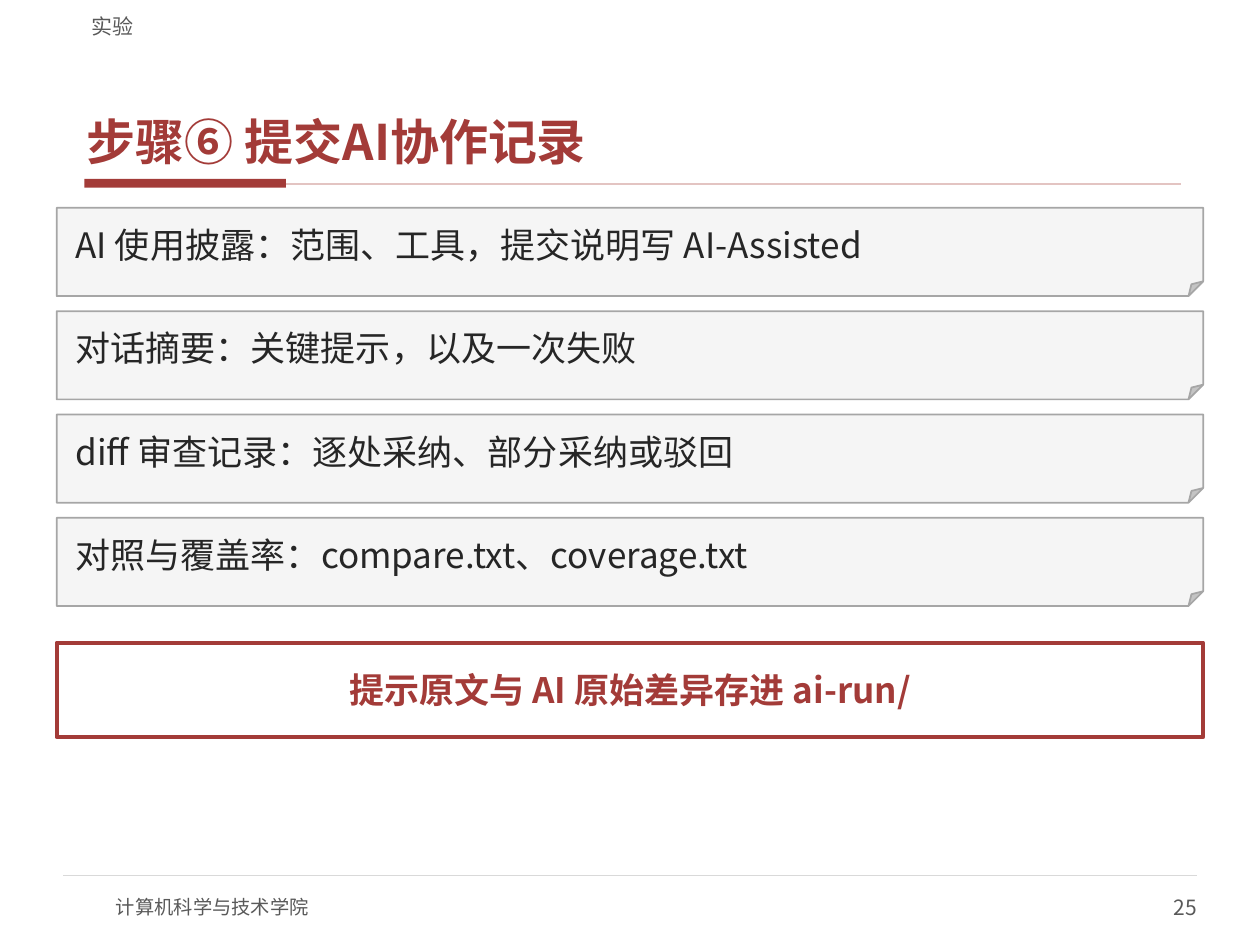
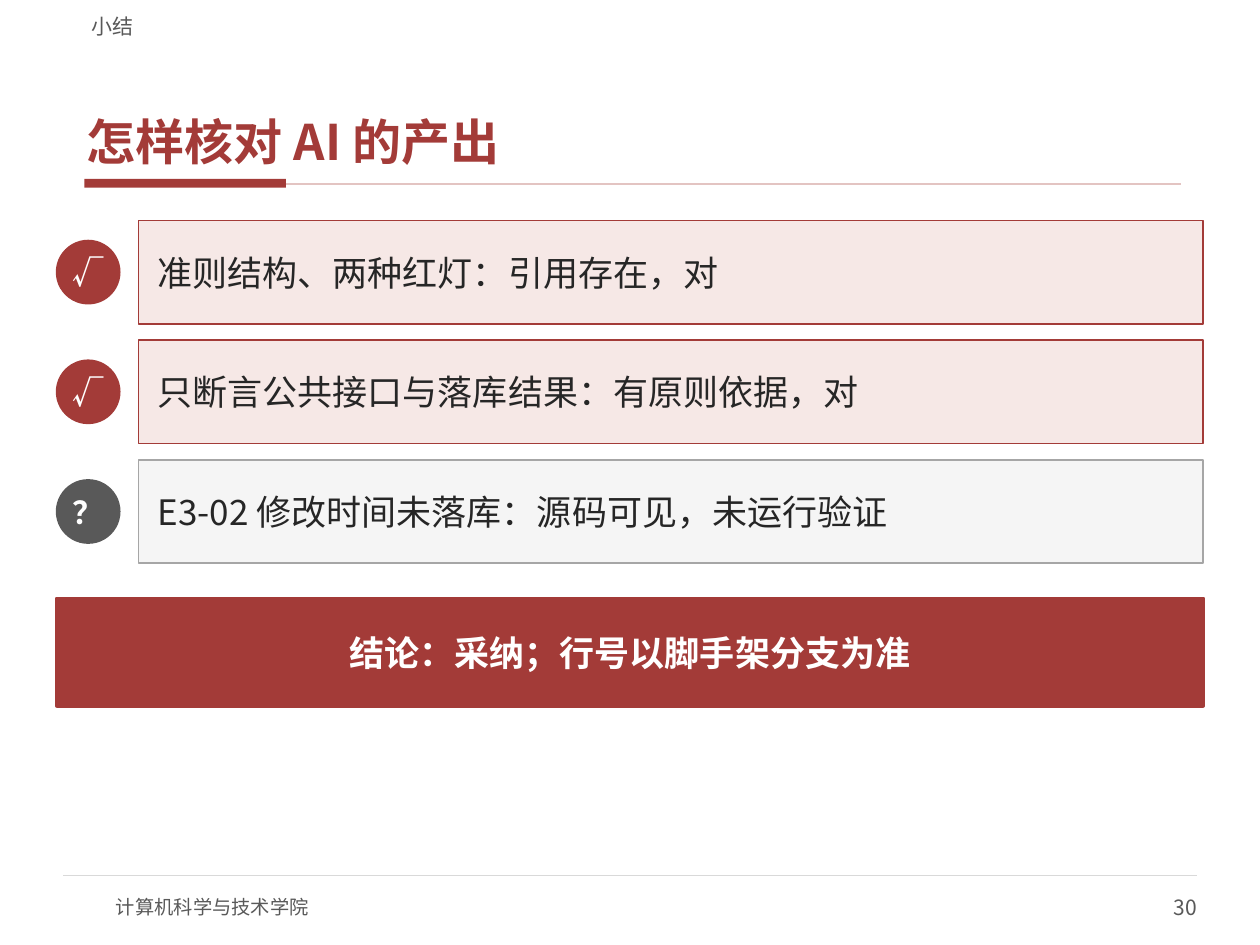
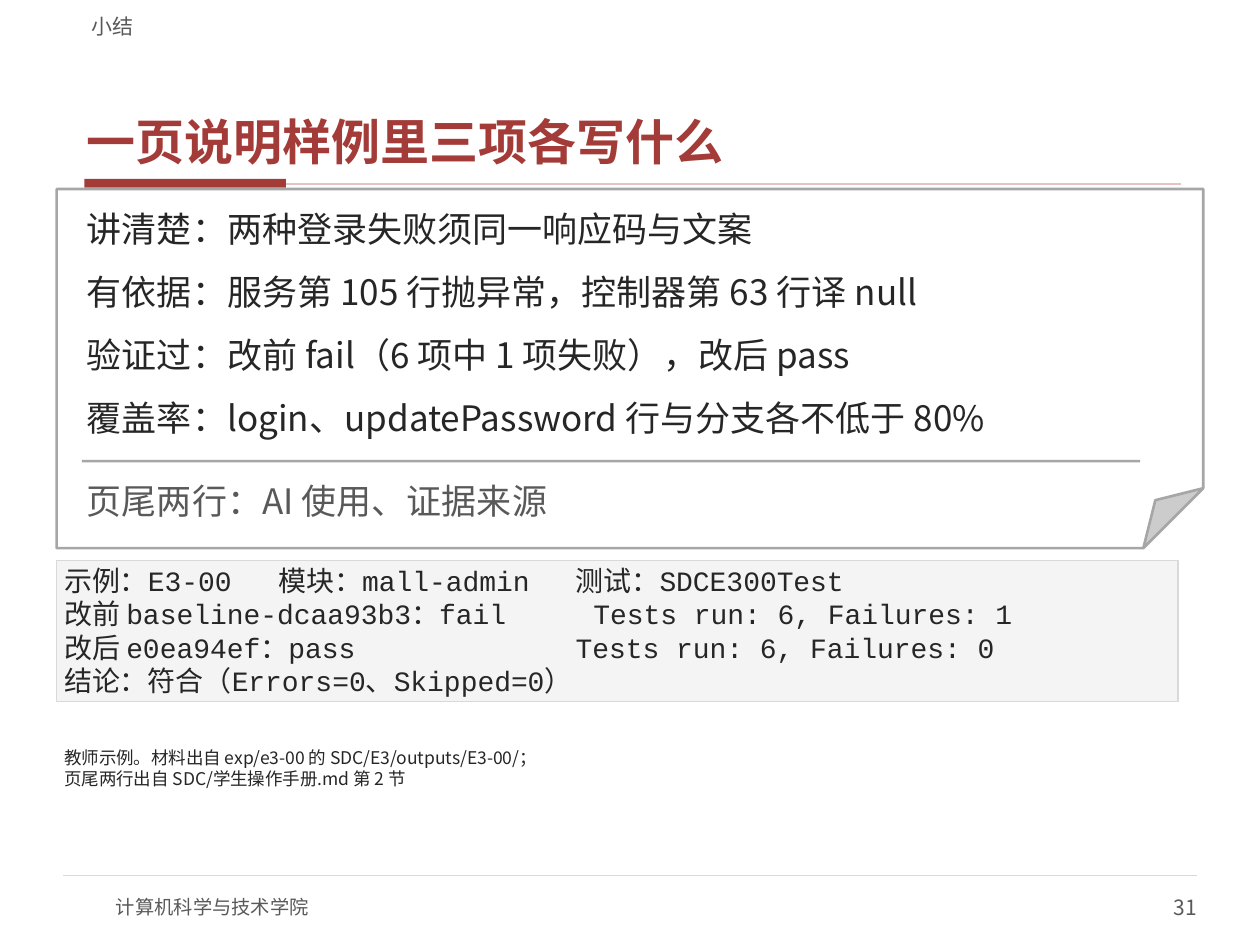
import dataclasses

import lxml.etree
import pptx
import pptx.dml.color
import pptx.enum.shapes
import pptx.enum.text
import pptx.oxml.ns
import pptx.util

EMU_PER_PX = 9144
SHAPES = pptx.enum.shapes.MSO_SHAPE
ANCHORS = pptx.enum.text.MSO_ANCHOR
ALIGNMENTS = pptx.enum.text.PP_ALIGN


@dataclasses.dataclass(frozen=True)
class Theme:
    accent: str = "A33B38"
    accent_rule: str = "E3C4C2"
    accent_tint: str = "F6E8E6"
    ink: str = "262626"
    muted: str = "595959"
    border: str = "A6A6A6"
    hairline: str = "D9D9D9"
    card: str = "F5F5F5"
    code: str = "F4F4F4"
    white: str = "FFFFFF"
    font: str = "Noto Sans CJK SC"
    code_font: str = "Courier New"
    title_size: int = 28
    body_size: int = 20
    mark_size: int = 18
    code_size: int = 16
    label_size: int = 12
    footer_size: int = 11
    note_size: int = 10


THEME = Theme()
LEFT, WIDTH = 45, 910
CARD_INSETS = (15, 7)
NOTE_INSETS = (6, 2)


def px(length):
    return pptx.util.Emu(length * EMU_PER_PX)


def rgb(value):
    return pptx.dml.color.RGBColor.from_string(value)


def write_text(shape, text, *, size=THEME.body_size, color=THEME.ink, bold=False,
               font=THEME.font, align=ALIGNMENTS.LEFT, anchor=ANCHORS.MIDDLE,
               insets=(0, 0), line_spacing=None, tab_stops=()):
    frame = shape.text_frame
    frame.word_wrap = True
    frame.vertical_anchor = anchor
    frame.margin_left = frame.margin_right = px(insets[0])
    frame.margin_top = frame.margin_bottom = px(insets[1])
    for index, line in enumerate(text.split("\n")):
        paragraph = frame.add_paragraph() if index else frame.paragraphs[0]
        paragraph.alignment = align
        if line_spacing:
            paragraph.line_spacing = line_spacing
        if tab_stops:
            add_tab_stops(paragraph, tab_stops[index])
        run = paragraph.add_run()
        run.text = line
        run.font.size = pptx.util.Pt(size)
        run.font.bold = bold
        run.font.color.rgb = rgb(color)
        run.font.name = font
        east_asian = lxml.etree.SubElement(
            run.font._element, pptx.oxml.ns.qn("a:ea"))
        east_asian.set("typeface", THEME.font)


def add_tab_stops(paragraph, positions):
    properties = paragraph._p.get_or_add_pPr()
    tab_list = lxml.etree.SubElement(properties, pptx.oxml.ns.qn("a:tabLst"))
    for position in positions:
        tab = lxml.etree.SubElement(tab_list, pptx.oxml.ns.qn("a:tab"))
        tab.set("pos", str(px(position)))
        tab.set("algn", "l")


def add_text(slide, box, text, **text_format):
    shape = slide.shapes.add_textbox(*map(px, box))
    write_text(shape, text, **text_format)


def add_panel(slide, box, fill, line=None, line_width=1, kind=SHAPES.RECTANGLE,
              text=None, **text_format):
    shape = slide.shapes.add_shape(kind, *map(px, box))
    shape.shadow.inherit = False
    shape.fill.solid()
    shape.fill.fore_color.rgb = rgb(fill)
    if line:
        shape.line.color.rgb = rgb(line)
        shape.line.width = pptx.util.Pt(line_width)
    else:
        shape.line.fill.background()
    if text:
        write_text(shape, text, **text_format)


def add_rule(slide, start, end, top, color, width):
    connector = slide.shapes.add_connector(
        pptx.enum.shapes.MSO_CONNECTOR.STRAIGHT,
        px(start), px(top), px(end), px(top))
    connector.line.color.rgb = rgb(color)
    connector.line.width = pptx.util.Pt(width)
    lxml.etree.SubElement(
        connector._element.spPr, pptx.oxml.ns.qn("a:effectLst"))


def add_banner(slide, top, height, text, fill, color):
    add_panel(slide, (LEFT, top, WIDTH, height), fill, THEME.accent, 2.25,
              text=text, color=color, bold=True, align=ALIGNMENTS.CENTER,
              insets=(8, 4))


def add_check_row(slide, top, mark, text, mark_fill, fill, line):
    height, mark_size = 82, 50
    add_panel(slide, (LEFT, top + (height - mark_size) // 2, mark_size, mark_size),
              mark_fill, mark_fill, kind=SHAPES.OVAL, text=mark,
              size=THEME.mark_size, color=THEME.white, bold=True,
              align=ALIGNMENTS.CENTER)
    add_panel(slide, (110, top, 845, height), fill, line,
              text=text, insets=CARD_INSETS)


def add_base_slide(presentation, section, title, number):
    slide = presentation.slides.add_slide(presentation.slide_layouts[6])
    slide.background.fill.solid()
    slide.background.fill.fore_color.rgb = rgb(THEME.white)
    add_panel(slide, (67, 142, 160, 7), THEME.accent)
    add_rule(slide, 227, 937, 146, THEME.accent_rule, 1)
    add_rule(slide, 50, 950, 695, THEME.hairline, 0.75)
    add_text(slide, (92, 700, 400, 40), "计算机科学与技术学院",
             size=THEME.footer_size, color=THEME.muted)
    add_text(slide, (750, 700, 200, 40), str(number), size=THEME.label_size,
             color=THEME.muted, align=ALIGNMENTS.RIGHT)
    add_text(slide, (63, 33, 875, 105), title, size=THEME.title_size,
             color=THEME.accent, bold=True, anchor=ANCHORS.BOTTOM,
             insets=NOTE_INSETS, line_spacing=0.9)
    add_text(slide, (63, 4, 875, 27), section, size=THEME.label_size,
             color=THEME.muted, anchor=ANCHORS.BOTTOM, insets=(10, 0))
    return slide


def build_submission_slide(presentation):
    slide = add_base_slide(presentation, "实验", "步骤⑥ 提交AI协作记录", 25)
    records = (
        "AI 使用披露：范围、工具，提交说明写 AI-Assisted",
        "对话摘要：关键提示，以及一次失败",
        "diff 审查记录：逐处采纳、部分采纳或驳回",
        "对照与覆盖率：compare.txt、coverage.txt",
    )
    for index, record in enumerate(records):
        add_panel(slide, (LEFT, 165 + 82 * index, WIDTH, 70), THEME.card,
                  THEME.border, kind=SHAPES.FOLDED_CORNER, text=record,
                  insets=CARD_INSETS)
    add_banner(slide, 510, 75, "提示原文与 AI 原始差异存进 ai-run/",
               THEME.white, THEME.accent)


def build_review_slide(presentation):
    slide = add_base_slide(presentation, "小结", "怎样核对 AI 的产出", 30)
    confirmed = (THEME.accent, THEME.accent_tint, THEME.accent)
    unverified = (THEME.muted, THEME.card, THEME.border)
    checks = (
        ("√", "准则结构、两种红灯：引用存在，对", confirmed),
        ("√", "只断言公共接口与落库结果：有原则依据，对", confirmed),
        ("？", "E3-02 修改时间未落库：源码可见，未运行验证", unverified),
    )
    for index, (mark, text, colors) in enumerate(checks):
        add_check_row(slide, 175 + 95 * index, mark, text, *colors)
    add_banner(slide, 475, 85, "结论：采纳；行号以脚手架分支为准",
               THEME.accent, THEME.white)


def build_example_slide(presentation):
    slide = add_base_slide(presentation, "小结", "一页说明样例里三项各写什么", 31)
    test_log = (
        ("示例：E3-00\t模块：mall-admin\t测试：SDCE300Test", (170, 406)),
        ("改前 baseline-dcaa93b3：fail\tTests run: 6, Failures: 1", (420,)),
        ("改后 e0ea94ef：pass\tTests run: 6, Failures: 0", (406,)),
        ("结论：符合（Errors=0、Skipped=0）", ()),
    )
    log_lines, log_tabs = zip(*test_log)
    add_panel(slide, (LEFT, 445, 890, 112), THEME.code, THEME.hairline, 0.75,
              text="\n".join(log_lines), tab_stops=log_tabs,
              size=THEME.code_size, font=THEME.code_font,
              anchor=ANCHORS.TOP, insets=NOTE_INSETS)
    add_text(slide, (LEFT, 591, WIDTH, 36),
             "教师示例。材料出自 exp/e3-00 的 SDC/E3/outputs/E3-00/；\n"
             "页尾两行出自 SDC/学生操作手册.md 第 2 节",
             size=THEME.note_size, anchor=ANCHORS.TOP, insets=NOTE_INSETS)
    add_panel(slide, (LEFT, 150, WIDTH, 285), THEME.white, THEME.border, 1.5,
              kind=SHAPES.FOLDED_CORNER)
    statements = (
        "讲清楚：两种登录失败须同一响应码与文案",
        "有依据：服务第 105 行抛异常，控制器第 63 行译 null",
        "验证过：改前 fail（6 项中 1 项失败），改后 pass",
        "覆盖率：login、updatePassword 行与分支各不低于 80%",
    )
    for index, statement in enumerate(statements):
        add_text(slide, (65, 158 + 50 * index, 870, 46), statement, insets=(4, 2))
    add_panel(slide, (65, 365, 840, 2), THEME.border)
    add_text(slide, (65, 374, 840, 46), "页尾两行：AI 使用、证据来源",
             color=THEME.muted, insets=(4, 2))


def main():
    presentation = pptx.Presentation()
    presentation.slide_width = px(1000)
    presentation.slide_height = px(750)
    build_submission_slide(presentation)
    build_review_slide(presentation)
    build_example_slide(presentation)
    presentation.save("out.pptx")


if __name__ == "__main__":
    main()
